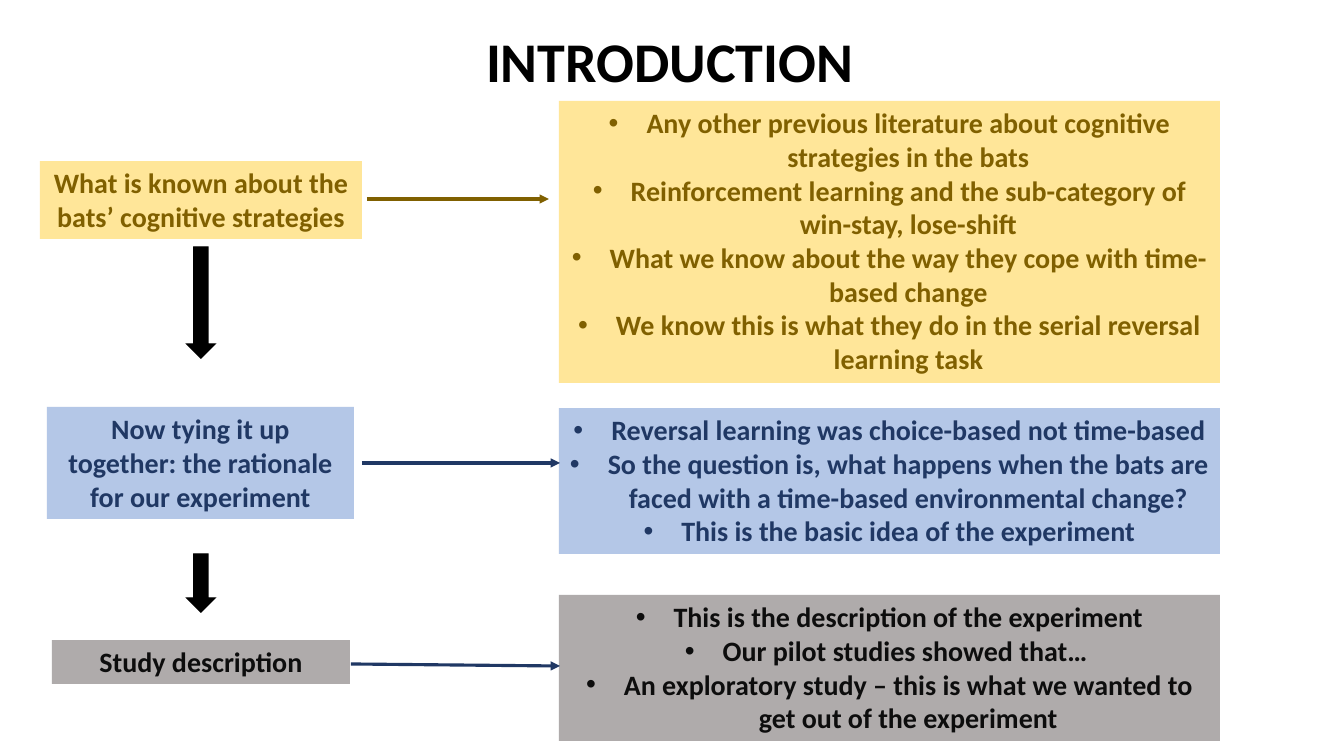
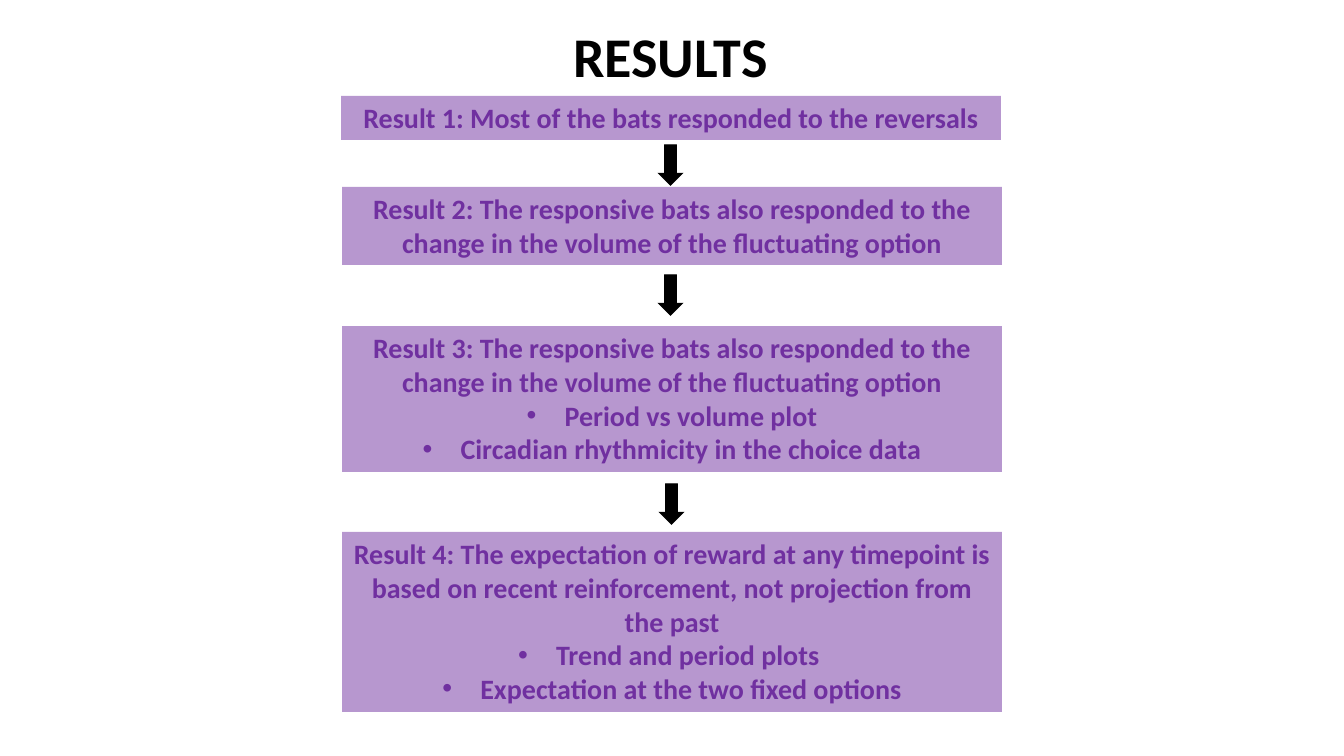
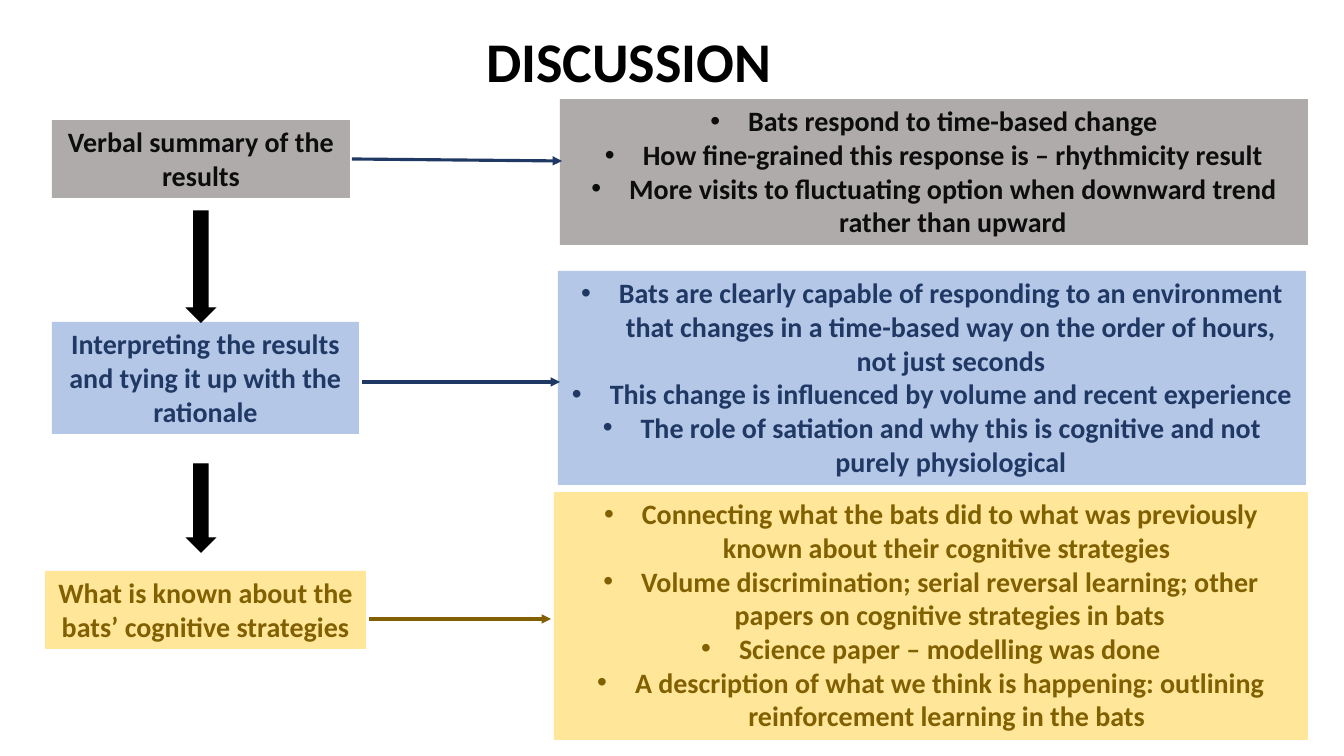
from collections import namedtuple

from lxml import etree
from pptx import Presentation
from pptx.dml.color import RGBColor
from pptx.enum.shapes import MSO_CONNECTOR, MSO_SHAPE
from pptx.enum.text import MSO_ANCHOR, PP_ALIGN
from pptx.oxml.ns import qn
from pptx.util import Emu, Pt

RECTANGLE = MSO_SHAPE.RECTANGLE
DOWN_ARROW = MSO_SHAPE.DOWN_ARROW
STRAIGHT = MSO_CONNECTOR.STRAIGHT
LEFT, CENTER = PP_ALIGN.LEFT, PP_ALIGN.CENTER
TOP = MSO_ANCHOR.TOP

EMU_PER_PIXEL = 914400 / 100.8
SLIDE_SIZE = (1344, 756)
TITLE_ONLY_LAYOUT = 5
FONT = "Calibri"
BLACK = "000000"
BULLET_INDENT = Pt(27)

Style = namedtuple("Style", "fill ink connector opacity")
YELLOW = Style("FFE699", "806000", "806000", 100)
BLUE = Style("B4C7E7", "203864", "203864", 100)
GRAY = Style("AFABAB", "0D0D0D", "203864", 100)
PURPLE = Style("7030A0", "7030A0", "7030A0", 50)

# A step box on the left, its detail box on the right and the arrow between.
Topic = namedtuple("Topic", "style step step_at bullets details_at arrow")

KNOWN_STRATEGIES = "What is known about the bats’ cognitive strategies"

INTRODUCTION = [
    Topic(YELLOW, KNOWN_STRATEGIES, (40, 161, 322, 78), [
        "Any other previous literature about cognitive strategies in the bats",
        "Reinforcement learning and the sub-category of win-stay, lose-shift",
        "What we know about the way they cope with time-based change",
        "We know this is what they do in the serial reversal learning task",
    ], (559, 101, 661, 282), (367, 199, 549, 199)),
    Topic(BLUE, "Now tying it up together: the rationale for our experiment",
          (47, 407, 307, 112), [
        "Reversal learning was choice-based not time-based",
        "So the question is, what happens when the bats are faced with "
        "a time-based environmental change?",
        "This is the basic idea of the experiment",
    ], (559, 408, 661, 146), (362, 463, 560, 463)),
    Topic(GRAY, "Study description", (52, 640, 298, 44), [
        "This is the description of the experiment",
        "Our pilot studies showed that… ",
        "An exploratory study – this is what we wanted to get out of the experiment",
    ], (559, 595, 661, 146), (351, 664, 560, 666)),
]

# Lead text, bullets, left, top and height of each result box.
RESULTS = [
    ("Result 1: Most of the bats responded to the reversals", [], 341, 96, 44),
    ("Result 2: The responsive bats also responded to the change in the volume "
     "of the fluctuating option", [], 342, 187, 78),
    ("Result 3: The responsive bats also responded to the change in the volume "
     "of the fluctuating option",
     ["Period vs volume plot", "Circadian rhythmicity in the choice data"],
     342, 326, 146),
    ("Result 4: The expectation of reward at any timepoint is based on recent "
     "reinforcement, not projection from the past",
     ["Trend and period plots ", "Expectation at the two fixed options"],
     342, 532, 180),
]

DISCUSSION = [
    Topic(GRAY, "Verbal summary of the results", (52, 120, 298, 78), [
        "Bats respond to time-based change",
        "How fine-grained this response is – rhythmicity result",
        "More visits to fluctuating option when downward trend rather than upward",
    ], (560, 99, 748, 146), (352, 159, 562, 161)),
    Topic(BLUE, "Interpreting the results and tying it up with the rationale",
          (52, 322, 307, 112), [
        "Bats are clearly capable of responding to an environment that changes "
        "in a time-based way on the order of hours, not just seconds",
        "This change is influenced by volume and recent experience",
        "The role of satiation and why this is cognitive and not purely physiological",
    ], (558, 271, 748, 214), (362, 382, 560, 382)),
    Topic(YELLOW, KNOWN_STRATEGIES, (45, 571, 321, 78), [
        "Connecting what the bats did to what was previously known about their "
        "cognitive strategies ",
        "Volume discrimination; serial reversal learning; other papers on "
        "cognitive strategies in bats",
        "Science paper – modelling was done",
        "A description of what we think is happening: outlining reinforcement "
        "learning in the bats ",
    ], (554, 492, 754, 248), (369, 619, 551, 619)),
]


def px(*lengths):
    """Turn pixel lengths into a list of EMU lengths."""
    return [Emu(round(length * EMU_PER_PIXEL)) for length in lengths]


def color(hex_string):
    """Turn a hex string into a colour."""
    return RGBColor.from_string(hex_string)


def add_run(paragraph, text, size, ink):
    """Add one bold run in the deck's font."""
    run = paragraph.add_run()
    run.text = text
    run.font.name = FONT
    run.font.size = Pt(size)
    run.font.bold = True
    run.font.color.rgb = color(ink)


def set_bullet(paragraph):
    """Give a paragraph a round bullet with a hanging indent."""
    properties = paragraph._p.get_or_add_pPr()
    properties.set("marL", str(BULLET_INDENT))
    properties.set("indent", str(-BULLET_INDENT))
    etree.SubElement(properties, qn("a:buFont"), typeface="Arial")
    etree.SubElement(properties, qn("a:buChar"), char="•")


def add_filled_shape(slide, kind, at, fill, opacity=100):
    """Add a preset shape with a plain fill, no outline and no shadow."""
    shape = slide.shapes.add_shape(kind, *px(*at))
    shape.shadow.inherit = False
    shape.fill.solid()
    shape.fill.fore_color.rgb = color(fill)
    shape.line.fill.background()
    if opacity < 100:
        fill_color = shape.element.spPr.find(qn("a:solidFill"))[0]
        etree.SubElement(fill_color, qn("a:alpha"), val=str(opacity * 1000))
    return shape


def add_box(slide, at, style, lead=None, bullets=()):
    """Add a coloured box with an optional lead line and bullets."""
    shape = add_filled_shape(slide, RECTANGLE, at, style.fill, style.opacity)
    frame = shape.text_frame
    frame.word_wrap = True
    frame.vertical_anchor = TOP
    lines = [(lead, False)] if lead else []
    lines += [(bullet, True) for bullet in bullets]
    for index, (text, bulleted) in enumerate(lines):
        paragraph = frame.add_paragraph() if index else frame.paragraphs[0]
        paragraph.alignment = CENTER
        if bulleted:
            set_bullet(paragraph)
        add_run(paragraph, text, 20, style.ink)


def add_down_arrow(slide, *at):
    """Add a black block arrow with sharp corners that leads to the next step."""
    arrow = add_filled_shape(slide, DOWN_ARROW, at, BLACK)
    arrow.line.color.rgb = color(BLACK)
    arrow.line.width = Pt(1)
    outline = arrow.element.spPr.find(qn("a:ln"))
    etree.SubElement(outline, qn("a:miter"), lim="800000")


def add_arrow(slide, ends, ink):
    """Add a thin line with an arrowhead at its end."""
    connector = slide.shapes.add_connector(STRAIGHT, *px(*ends))
    connector.line.color.rgb = color(ink)
    connector.line.width = Pt(2.25)
    properties = connector.element.spPr
    line = properties.find(qn("a:ln"))
    etree.SubElement(line, qn("a:tailEnd"), type="triangle")
    etree.SubElement(properties, qn("a:effectLst"))


def add_titled_slide(presentation, text, at):
    """Add a slide and place its title."""
    slide = presentation.slides.add_slide(
        presentation.slide_layouts[TITLE_ONLY_LAYOUT])
    title = slide.shapes.title
    title.left, title.top, title.width, title.height = px(*at)
    frame = title.text_frame
    frame.word_wrap = False
    frame.vertical_anchor = TOP
    paragraph = frame.paragraphs[0]
    paragraph.alignment = LEFT
    add_run(paragraph, text, 40, BLACK)
    return slide


def add_topics(slide, topics):
    """Add each topic's step box, detail box and joining arrow."""
    for topic in topics:
        add_box(slide, topic.step_at, topic.style, lead=topic.step)
        add_box(slide, topic.details_at, topic.style, bullets=topic.bullets)
        add_arrow(slide, topic.arrow, topic.style.connector)


def main():
    """Build the three slides and save them."""
    presentation = Presentation()
    presentation.slide_width, presentation.slide_height = px(*SLIDE_SIZE)

    introduction = add_titled_slide(presentation, "INTRODUCTION", (476, 21, 391, 78))
    add_topics(introduction, INTRODUCTION)
    add_down_arrow(introduction, 187, 247, 28, 111)
    add_down_arrow(introduction, 187, 554, 28, 58)

    results = add_titled_slide(presentation, "RESULTS", (563, 16, 217, 78))
    for lead, bullets, left, top, height in RESULTS:
        add_box(results, (left, top, 660, height), PURPLE, lead, bullets)
    for left, top in ((659, 145), (659, 275), (660, 484)):
        add_down_arrow(results, left, top, 23, 40)

    discussion = add_titled_slide(presentation, "DISCUSSION", (476, 21, 308, 78))
    add_topics(discussion, DISCUSSION)
    add_down_arrow(discussion, 187, 211, 28, 111)
    add_down_arrow(discussion, 187, 464, 28, 88)

    presentation.save("out.pptx")


main()
